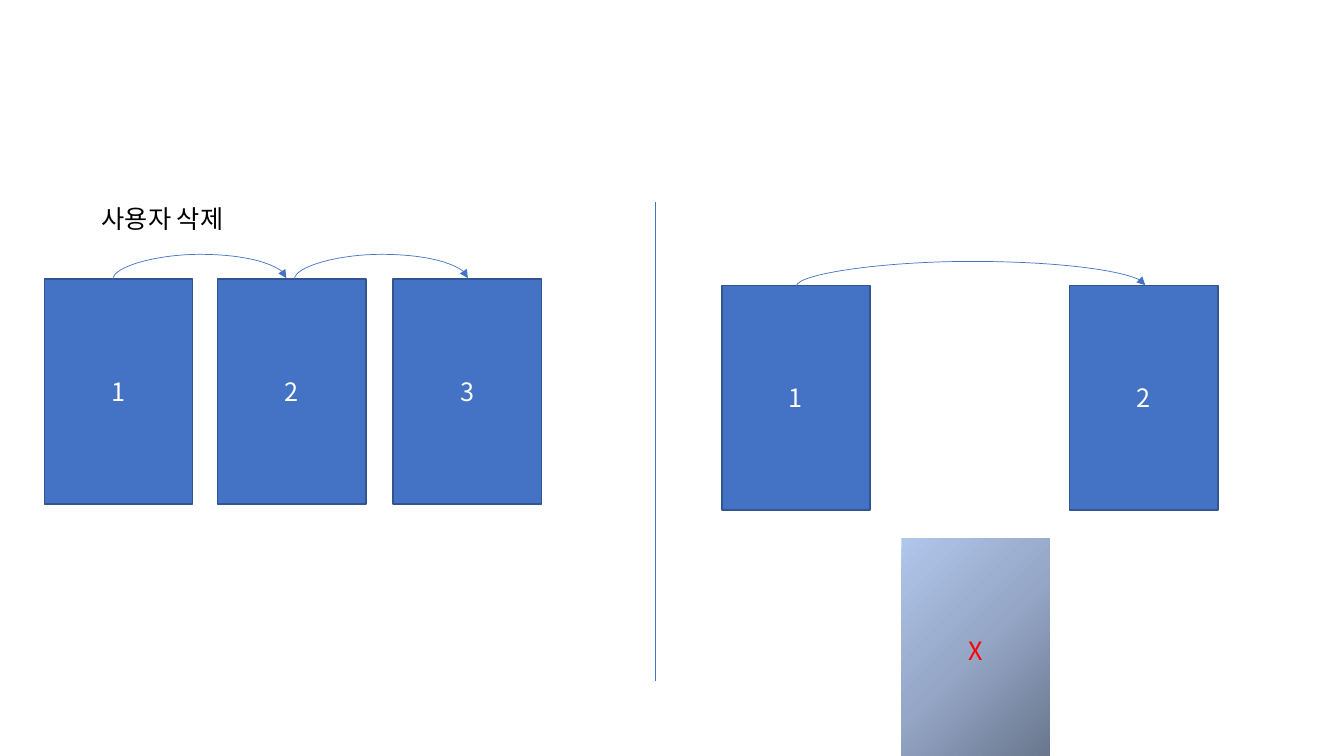
from dataclasses import dataclass

from lxml.etree import SubElement
from pptx import Presentation
from pptx.dml.color import RGBColor
from pptx.enum.shapes import MSO_CONNECTOR as Link, MSO_SHAPE as Shape
from pptx.enum.text import MSO_ANCHOR as Anchor, MSO_AUTO_SIZE as AutoSize, PP_ALIGN as Align
from pptx.oxml.ns import qn
from pptx.util import Pt

EMU_PER_PX = 9144  # 100 px to the inch


@dataclass(frozen=True)
class Theme:
    font: str = "Noto Sans CJK KR"
    size: int = 18
    blue: str = "4472C4"
    edge: str = "325491"
    white: str = "FFFFFF"
    black: str = "000000"
    red: str = "FF0000"
    edge_width: float = 1
    link_width: float = 0.5
    fade: tuple = ((0, "68758B"), (50, "95A6C6"), (100, "B0C6EB"))


THEME = Theme()
NODE_WIDTH, NODE_HEIGHT = 147, 223
ARC_RISE, ARC_LIFT = 1, 25


def px(length):
    return round(length * EMU_PER_PX)


def rgb(code):
    return RGBColor.from_string(code)


def write(shape, text, color, align):
    """Put one formatted line of text in a shape."""
    paragraph = shape.text_frame.paragraphs[0]
    paragraph.text = text
    paragraph.alignment = align
    font = paragraph.runs[0].font
    font.name, font.size = THEME.font, Pt(THEME.size)
    font.color.rgb = rgb(color)
    SubElement(paragraph.runs[0]._r.get_or_add_rPr(), qn("a:ea"), typeface=THEME.font)


def add_node(slide, left, top, label, color=THEME.white):
    node = slide.shapes.add_shape(
        Shape.RECTANGLE, px(left), px(top), px(NODE_WIDTH), px(NODE_HEIGHT))
    node.shadow.inherit = False
    node.fill.solid()
    node.fill.fore_color.rgb = rgb(THEME.blue)
    node.line.color.rgb = rgb(THEME.edge)
    node.line.width = Pt(THEME.edge_width)
    node.text_frame.vertical_anchor = Anchor.MIDDLE
    write(node, label, color, Align.CENTER)
    return node


def fade_out(node):
    """Give a removed node a round gradient from its bottom right corner."""
    node.line.fill.background()
    node.fill.gradient()
    gradient = node.element.spPr.find(qn("a:gradFill"))
    gradient.clear()
    stops = SubElement(gradient, qn("a:gsLst"))
    for percent, color in THEME.fade:
        stop = SubElement(stops, qn("a:gs"), pos=str(percent * 1000))
        SubElement(stop, qn("a:srgbClr"), val=color)
    circle = SubElement(gradient, qn("a:path"))
    circle.set("path", "circle")
    SubElement(circle, qn("a:fillToRect"), l="100000", t="100000")


def add_link(slide, kind, start, end):
    link = slide.shapes.add_connector(kind, *map(px, start + end))
    link.line.color.rgb = rgb(THEME.blue)
    link.line.width = Pt(THEME.link_width)
    SubElement(link.element.spPr, qn("a:effectLst"))
    return link


def add_arc(slide, left, right, base):
    """Arch an arrow from left to right: a curve turned by 90 degrees."""
    middle_x, middle_y = (left + right) / 2, base - ARC_RISE / 2
    half_rise, half_span = ARC_RISE / 2, (right - left) / 2
    arc = add_link(slide, Link.CURVE,
                   (middle_x + half_rise, middle_y + half_span),
                   (middle_x - half_rise, middle_y - half_span))
    properties = arc.element.spPr
    properties.find(qn("a:xfrm")).set("rot", str(90 * 60000))
    bend = ARC_LIFT * 100000 // ARC_RISE
    SubElement(properties.find(qn("a:prstGeom")).find(qn("a:avLst")),
               qn("a:gd"), name="adj1", fmla=f"val {bend}")
    SubElement(properties.find(qn("a:ln")), qn("a:tailEnd"), type="triangle")


def add_heading(slide, left, top, width, height, text):
    heading = slide.shapes.add_textbox(px(left), px(top), px(width), px(height))
    heading.text_frame.word_wrap = True
    heading.text_frame.auto_size = AutoSize.SHAPE_TO_FIT_TEXT
    write(heading, text, THEME.black, Align.LEFT)


def main():
    deck = Presentation()
    deck.slide_width, deck.slide_height = px(1333), px(750)
    slide = deck.slides.add_slide(deck.slide_layouts[6])

    # Before: three linked users
    for number, left in enumerate((44, 216, 390), start=1):
        add_node(slide, left, 277, str(number))
    add_heading(slide, 91, 197, 522, 40, "사용자 삭제")
    for left in (112, 292):
        add_arc(slide, left, left + 172, 277)

    # Divider
    add_link(slide, Link.STRAIGHT, (650, 200), (650, 676))

    # After: the middle user is taken out of the chain
    for number, left in enumerate((716, 1061), start=1):
        add_node(slide, left, 283, str(number))
    add_arc(slide, 790, 1136, 284)
    fade_out(add_node(slide, 894, 534, "X", THEME.red))

    deck.save("out.pptx")


if __name__ == "__main__":
    main()
